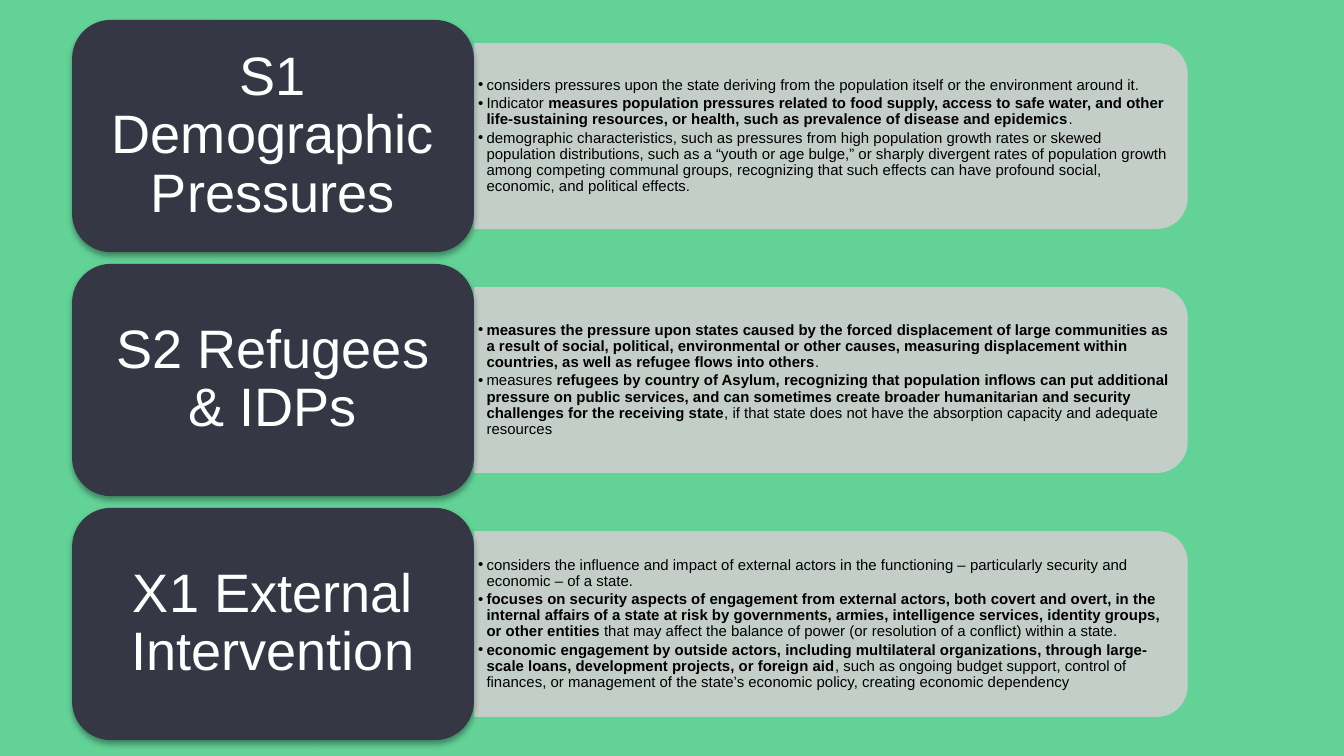
from lxml import etree
from pptx import Presentation
from pptx.dml.color import RGBColor
from pptx.enum.shapes import MSO_SHAPE
from pptx.enum.text import MSO_ANCHOR, PP_ALIGN
from pptx.oxml.ns import qn
from pptx.util import Pt

ROUND = MSO_SHAPE.ROUNDED_RECTANGLE
TAB = MSO_SHAPE.ROUND_2_SAME_RECTANGLE
MIDDLE = MSO_ANCHOR.MIDDLE
CENTER = PP_ALIGN.CENTER

GREEN = RGBColor(0x63, 0xD2, 0x97)
DARK = RGBColor(0x35, 0x37, 0x44)
GRAY = RGBColor(0xCE, 0xCE, 0xCF)
BLACK = RGBColor(0, 0, 0)
WHITE = RGBColor(0xFF, 0xFF, 0xFF)

LEFT, TOP, PITCH = 38.6, 10.7, 130.7
CARD_W, CARD_H = 215.3, 124.4
BAND_W, BAND_H = 382.4, 99.6
TEXT_W, TEXT_H = 377.6, 90

ROWS = [
    ("S1 Demographic Pressures", [
        [("considers pressures upon the state deriving from the population itself or the environment around it.", False)],
        [("Indicator ", False),
         ("measures population pressures related to food supply, access to safe water, and other life-sustaining resources, or health, such as prevalence of disease and epidemics", True),
         (".", False)],
        [("demographic characteristics, such as pressures from high population growth rates or skewed population distributions, such as a “youth or age bulge,” or sharply divergent rates of population growth among competing communal groups, recognizing that such effects can have profound social, economic, and political effects.", False)],
    ]),
    ("S2 Refugees & IDPs", [
        [("measures the pressure upon states caused by the forced displacement of large communities as a result of social, political, environmental or other causes, measuring displacement within countries, as well as refugee flows into others", True),
         (".", False)],
        [("measures ", False),
         ("refugees by country of Asylum, recognizing that population inflows can put additional pressure on public services, and can sometimes create broader humanitarian and security challenges for the receiving state", True),
         (", if that state does not have the absorption capacity and adequate resources", False)],
    ]),
    ("X1 External Intervention", [
        [("considers the influence and impact of external actors in the functioning – particularly security and economic – of a state.", False)],
        [("focuses on security aspects of engagement from external actors, both covert and overt, in the internal affairs of a state at risk by governments, armies, intelligence services, identity groups, or other entities ", True),
         ("that may affect the balance of power (or resolution of a conflict) within a state.", False)],
        [("economic engagement by outside actors, including multilateral organizations, through large-scale loans, development projects, or foreign aid", True),
         (", such as ongoing budget support, control of finances, or management of the state’s economic policy, creating economic dependency", False)],
    ]),
]


def add(node, tag, **attrs):
    return etree.SubElement(node, qn(tag), {k: str(v) for k, v in attrs.items()})


class Deck:
    font = "Arial"

    def __init__(self, width, height):
        self.prs = Presentation()
        self.prs.slide_width, self.prs.slide_height = Pt(width), Pt(height)
        self.slide = self.prs.slides.add_slide(self.prs.slide_layouts[6])
        fill = self.slide.background.fill
        fill.solid()
        fill.fore_color.rgb = GREEN

    def shape(self, kind, x, y, w, h, color):
        shape = self.slide.shapes.add_shape(kind, Pt(x), Pt(y), Pt(w), Pt(h))
        shape.fill.solid()
        shape.fill.fore_color.rgb = color
        shape.line.fill.background()
        shape.shadow.inherit = False
        return shape

    def frame(self, shape, side, edge):
        frame = shape.text_frame
        frame.word_wrap = True
        frame.vertical_anchor = MIDDLE
        frame.margin_left = frame.margin_right = Pt(side)
        frame.margin_top = frame.margin_bottom = Pt(edge)
        return frame

    def run(self, para, text, size, color, bold=False):
        run = para.add_run()
        run.text = text
        font = run.font
        font.name, font.size, font.bold = self.font, Pt(size), bold
        font.color.rgb = color

    def band(self, x, mid):
        left = x + (BAND_W - BAND_H) / 2
        shape = self.shape(TAB, left, mid - BAND_W / 2, BAND_H, BAND_W, GRAY)
        shape.rotation = 90
        tint = shape.fill._xPr.find(".//" + qn("a:srgbClr"))
        add(tint, "a:alpha", val=90000)

    def card(self, x, y, title):
        shape = self.shape(ROUND, x, y, CARD_W, CARD_H, DARK)
        effect = shape._element.spPr.find(qn("a:effectLst"))
        glow = add(effect, "a:outerShdw", blurRad=Pt(3.1), dist=Pt(1.8),
                   dir=5400000, algn="ctr", rotWithShape=0)
        tint = add(glow, "a:srgbClr", val="000000")
        add(tint, "a:alpha", val=35000)
        para = self.frame(shape, 14.4, 10.4).paragraphs[0]
        para.alignment = CENTER
        para.line_spacing = 0.9
        self.run(para, title, 29, WHITE)

    def bullets(self, x, mid, items):
        box = self.slide.shapes.add_textbox(
            Pt(x), Pt(mid - TEXT_H / 2), Pt(TEXT_W), Pt(TEXT_H))
        frame = self.frame(box, 2.25, 1.15)
        for i, item in enumerate(items):
            para = frame.add_paragraph() if i else frame.paragraphs[0]
            para.level = 1
            para.line_spacing = 0.9
            para.space_after = Pt(1.2)
            props = para._p.get_or_add_pPr()
            props.set("marL", str(Pt(4.5)))
            props.set("indent", str(-Pt(4.5)))
            add(add(props, "a:buClr"), "a:srgbClr", val="000000")
            add(props, "a:buFont", typeface=self.font)
            add(props, "a:buChar", char="•")
            for text, bold in item:
                self.run(para, text, 8, BLACK, bold)


def main():
    deck = Deck(720, 405)
    edge = LEFT + CARD_W
    for i, (title, items) in enumerate(ROWS):
        top = TOP + i * PITCH
        mid = top + CARD_H / 2
        deck.band(edge, mid)
        deck.bullets(edge, mid, items)
        deck.card(LEFT, top, title)
    deck.prs.save("out.pptx")


if __name__ == "__main__":
    main()
